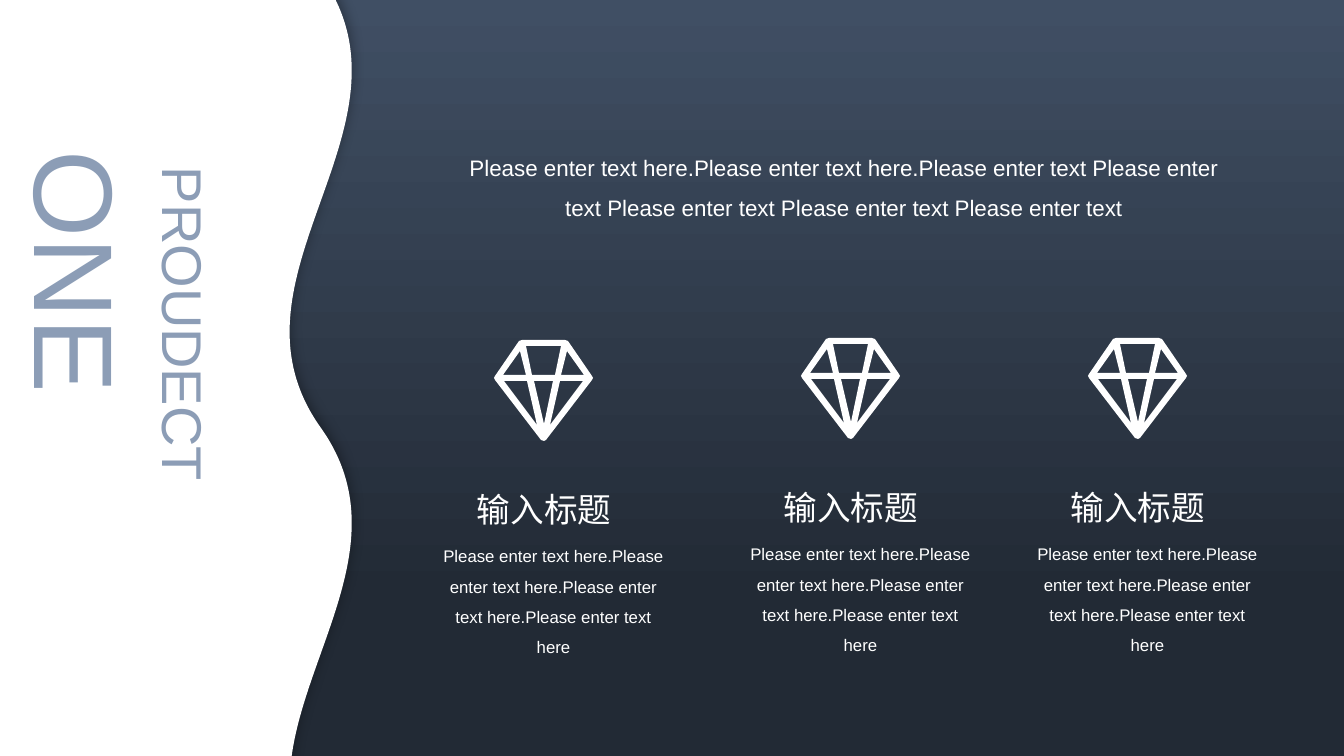
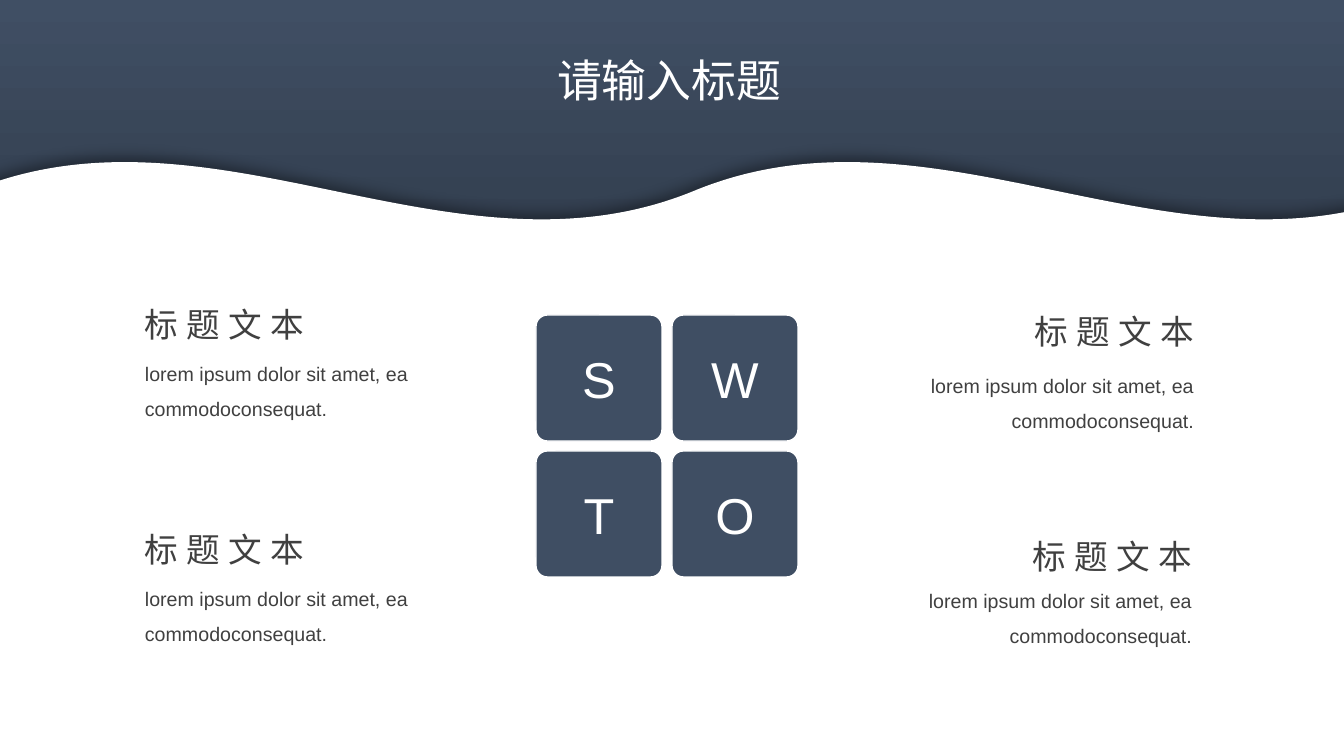
from lxml.etree import SubElement
from pptx import Presentation
from pptx.dml.color import RGBColor as Rgb
from pptx.enum.shapes import MSO_SHAPE as Kind
from pptx.enum.text import MSO_ANCHOR as Anchor, MSO_AUTO_SIZE as Fit, PP_ALIGN as Align
from pptx.oxml.ns import qn
from pptx.util import Pt

WIDE, HIGH = 1344, 756
SCALE = 12192000 / WIDE
FONT = "Arial"
COLORS = {
    "top": "404F64", "deep": "222A35", "tile": "3F4E63", "white": "FFFFFF",
    "label": "8C9DB6", "ink": "404040", "black": "000000",
}
LEAD = (
    "Please enter text here.Please enter text here.Please enter text "
    "Please enter text Please enter text Please enter text Please enter text"
)
BLURB = (
    "Please enter text here.Please enter text here."
    "Please enter text here.Please enter text here"
)
LOREM = "lorem ipsum dolor sit amet, ea commodoconsequat."
COLUMNS = [(431, 340), (738, 338), (1025, 338)]
NOTES = [
    (135, 299, 345, Align.LEFT),
    (135, 524, 570, Align.LEFT),
    (1204, 306, 357, Align.RIGHT),
    (1202, 531, 572, Align.RIGHT),
]
GEM_WIDTH = 99
GEM_EDGE = [
    (0, 38), (1, 36), (25, 1), (28, 0), (71, 0), (74, 1), (98, 36),
    (99, 38), (98, 40), (52, 100), (50, 101), (47, 100), (1, 40),
]
GEM_MID = [
    [(67, 6), (61, 35), (38, 35), (32, 6)],
    [(50, 84), (40, 41), (59, 41)],
]
GEM_SIDE = [
    [(26, 11), (32, 35), (9, 35)],
    [(10, 41), (33, 41), (43, 85)],
]


def px(count):
    return round(count * SCALE)


def place(box):
    return [px(side) for side in box]


def color(name):
    return Rgb.from_string(COLORS[name])


def write(frame, text, size, tint, align=Align.LEFT, lines=None, gap=None):
    para = frame.paragraphs[0]
    run = para.add_run()
    run.text = text
    para.alignment = align
    para.line_spacing = lines
    para.font.name = FONT
    para.font.size = Pt(size)
    para.font.color.rgb = color(tint)
    if gap:
        run._r.get_or_add_rPr().set("spc", str(gap * 100))


def add_text(slide, box, text, size, tint, **style):
    frame = slide.shapes.add_textbox(*place(box)).text_frame
    frame.word_wrap = True
    write(frame, text, size, tint, **style)
    return frame


def set_title(slide, box, text, size, tint, wrap=True, **style):
    title = slide.shapes.title
    title.left, title.top, title.width, title.height = place(box)
    title.element.getparent().append(title.element)
    frame = title.text_frame
    frame.auto_size = Fit.NONE
    frame.word_wrap = wrap
    frame.vertical_anchor = Anchor.TOP
    write(frame, text, size, tint, **style)
    return frame


def turn(frame):
    frame._txBody.bodyPr.set("vert", "eaVert")


def add_shape(slide, kind, box, tint):
    shape = slide.shapes.add_shape(kind, *place(box))
    shape.shadow.inherit = False
    shape.line.fill.background()
    if tint:
        shape.fill.solid()
        shape.fill.fore_color.rgb = color(tint)
    return shape


def add_fade(slide, height):
    fill = add_shape(slide, Kind.RECTANGLE, (0, 0, WIDE, height), None).fill
    fill.gradient()
    fill.gradient_angle = 270
    for stop, (spot, tint) in zip(fill.gradient_stops, [(0, "top"), (0.79, "deep")]):
        stop.position = spot
        stop.color.rgb = color(tint)


def add_wave(slide, box, bend, angle=0):
    wave = add_shape(slide, Kind.DOUBLE_WAVE, box, "white")
    wave.adjustments[0] = bend
    wave.adjustments[1] = 0
    wave.rotation = angle
    effects = wave.element.spPr.find(qn("a:effectLst"))
    shade = SubElement(
        effects, qn("a:outerShdw"), blurRad=str(Pt(10)), dist=str(Pt(3)),
        dir="16200000", algn="b", rotWithShape="0",
    )
    tone = SubElement(shade, qn("a:srgbClr"), val=COLORS["black"])
    SubElement(tone, qn("a:alpha"), val="38000")


def add_gem(slide, left, top):
    flipped = [[(GEM_WIDTH - x, y) for x, y in hole] for hole in GEM_SIDE]
    pen = slide.shapes.build_freeform(*GEM_EDGE[0], scale=SCALE)
    pen.add_line_segments(GEM_EDGE[1:], close=True)
    for hole in GEM_MID + GEM_SIDE + flipped:
        pen.move_to(*hole[0])
        pen.add_line_segments(hole[1:], close=True)
    gem = pen.convert_to_shape(px(left), px(top))
    gem.shadow.inherit = False
    gem.line.fill.background()
    gem.fill.solid()
    gem.fill.fore_color.rgb = color("white")


def add_column(slide, left, top):
    add_gem(slide, left + 63, top)
    add_text(slide, (left, top + 191, 245, 129), BLURB, 12, "white",
             align=Align.CENTER, lines=1.5)
    add_text(slide, (left, top + 144, 226, 50), "输入标题", 24, "white",
             align=Align.CENTER)


def add_tile(slide, left, top, letter):
    tile = add_shape(slide, Kind.ROUNDED_RECTANGLE, (left, top, 126, 126), "tile")
    tile.adjustments[0] = 0.09
    tile.line.color.rgb = color("white")
    tile.line.width = Pt(1)
    tile.text_frame.vertical_anchor = Anchor.MIDDLE
    write(tile.text_frame, letter, 36, "white", align=Align.CENTER)


def add_note(slide, edge, top, below, align):
    for y, width, height, text, size, style in [
        (top, 246, 50, "标题文本", 24, {"gap": 6}),
        (below, 301, 78, LOREM, 14, {"lines": 1.5}),
    ]:
        left = edge - width if align == Align.RIGHT else edge
        add_text(slide, (left, y, width, height), text, size, "ink",
                 align=align, **style)


def build_product(slide):
    add_fade(slide, HIGH)
    add_wave(slide, (-330, 197, 905, 461), 0.07, 270)
    turn(add_text(slide, (135, 157, 122, 424), "PROUDECT", 40, "label", lines=1.5))
    turn(set_title(slide, (0, 145, 224, 436), "ONE", 80, "label", lines=1.5))
    for left, top in COLUMNS:
        add_column(slide, left, top)
    add_text(slide, (455, 136, 778, 87), LEAD, 16, "white",
             align=Align.CENTER, lines=1.5)


def build_swot(slide):
    add_fade(slide, 643)
    add_wave(slide, (-28, 161, 1445, 744), 0.04)
    set_title(slide, (547, 48, 247, 65), "请输入标题", 32, "white", wrap=False)
    for spot, letter in enumerate("SWTO"):
        row, col = divmod(spot, 2)
        add_tile(slide, 536 + col * 136, 315 + row * 136, letter)
    for note in NOTES:
        add_note(slide, *note)


def main():
    deck = Presentation()
    deck.slide_width, deck.slide_height = px(WIDE), px(HIGH)
    for build in (build_product, build_swot):
        build(deck.slides.add_slide(deck.slide_layouts[5]))
    deck.save("out.pptx")


if __name__ == "__main__":
    main()
